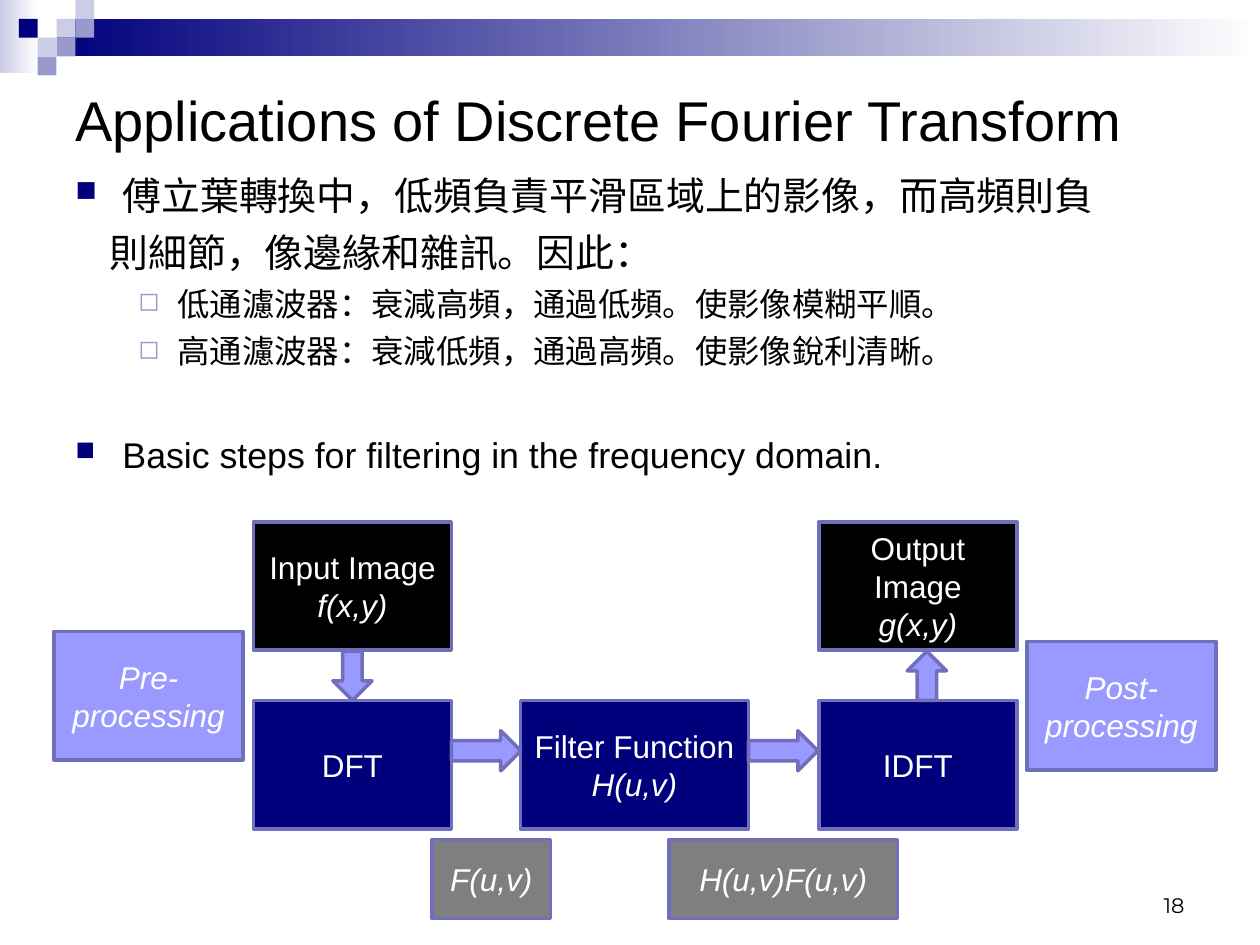
from lxml.etree import SubElement
from pptx import Presentation
from pptx.dml.color import RGBColor
from pptx.enum.shapes import MSO_SHAPE
from pptx.enum.text import MSO_ANCHOR, PP_ALIGN
from pptx.oxml.ns import qn
from pptx.util import Cm, Pt

COLORS = {
    "navy": "00007D", "pale": "CCCCE6", "lilac": "9999CC", "violet": "9999FF",
    "outline": "6F6FBC", "gray": "7F7F7F", "black": "000000", "white": "FFFFFF",
}


def add_block(kind, left, top, width, height, fill, outline=None):
    block = slide.shapes.add_shape(kind, Cm(left), Cm(top), Cm(width), Cm(height))
    block.shadow.inherit = False
    block.fill.solid()
    block.fill.fore_color.rgb = RGBColor.from_string(COLORS[fill])
    if outline:
        block.line.color.rgb = RGBColor.from_string(COLORS[outline])
        block.line.width = Pt(2)
    else:
        block.line.fill.background()
    return block


def style(span, size, color="black", italic=False, name="Arial"):
    span.font.name = name
    span.font.size = Pt(size)
    span.font.italic = italic
    span.font.color.rgb = RGBColor.from_string(COLORS[color])


deck = Presentation()
deck.slide_width, deck.slide_height = Cm(25.4), Cm(19.05)
slide = deck.slides.add_slide(deck.slide_layouts[6])

for left, top, width, height, start in [
    (0, 0, 0.79, 1.47, "pale"),
    (1.14, 0.38, 24.26, 0.76, "navy"),
]:
    band = add_block(MSO_SHAPE.RECTANGLE, left, top, width, height, start)
    band.fill.gradient()
    band.fill.gradient_angle = 0
    for stop, color in zip(band.fill.gradient_stops, [start, "white"]):
        stop.color.rgb = RGBColor.from_string(COLORS[color])

tile = 0.38
for column, row, color in [
    (3, 1, "pale"), (4, 0, "pale"), (4, 1, "lilac"), (2, 2, "pale"),
    (1, 1, "navy"), (3, 2, "lilac"), (2, 3, "lilac"),
]:
    add_block(MSO_SHAPE.RECTANGLE, column * tile, row * tile, tile, tile, color)

body = slide.shapes.add_textbox(Cm(1.27), Cm(3.33), Cm(22.86), Cm(6.6))
body.text_frame.word_wrap = True
square, hollow = ("■", "navy", 75), ("◻", "lilac", 80)
for index, (text, size, before, margin, indent, bullet) in enumerate([
    ("傅立葉轉換中，低頻負責平滑區域上的影像，而高頻則負", 22.2, 0, 0.95, -0.95, square),
    ("則細節，像邊緣和雜訊。因此：", 22.2, 6, 0.69, 0, None),
    ("低通濾波器：衰減高頻，通過低頻。使影像模糊平順。", 18.5, 5, 2.06, -0.79, hollow),
    ("高通濾波器：衰減低頻，通過高頻。使影像銳利清晰。", 18.5, 5, 2.06, -0.79, hollow),
    ("Basic steps for filtering in the frequency domain.", 20.4, 35.5, 0.95, -0.95, square),
]):
    para = body.text_frame.paragraphs[0] if index == 0 else body.text_frame.add_paragraph()
    para.text = text
    para.space_before = Pt(before)
    properties = para._p.get_or_add_pPr()
    properties.set("marL", str(Cm(margin)))
    properties.set("indent", str(Cm(indent)))
    if bullet:
        mark, color, percent = bullet
        SubElement(SubElement(properties, qn("a:buClr")), qn("a:srgbClr")).set("val", COLORS[color])
        SubElement(properties, qn("a:buSzPct")).set("val", str(percent * 1000))
        SubElement(properties, qn("a:buChar")).set("char", mark)
    style(para.runs[0], size)

number = slide.shapes.add_textbox(Cm(18.21), Cm(17.35), Cm(5.92), Cm(1.27))
number.text_frame.word_wrap = True
number.text_frame.vertical_anchor = MSO_ANCHOR.BOTTOM
number.text_frame.text = "18"
number.text_frame.paragraphs[0].alignment = PP_ALIGN.RIGHT
style(number.text_frame.paragraphs[0].runs[0], 12, name="Montserrat")

input_left, filter_left, output_left = 5.11, 10.49, 16.51
image_top, step_top, label_top = 10.52, 14.12, 16.92
narrow, wide, tall = 3.99, 4.6, 2.59
for left, top, width, height, fill, plain, formula in [
    (input_left, step_top, narrow, tall, "navy", "DFT", ""),
    (filter_left, step_top, wide, tall, "navy", "Filter Function ", "H(u,v)"),
    (output_left, step_top, narrow, tall, "navy", "IDFT", ""),
    (input_left, image_top, narrow, tall, "black", "Input Image ", "f(x,y)"),
    (output_left, image_top, narrow, tall, "black", "Output Image ", "g(x,y)"),
    (8.71, label_top, 2.39, 1.6, "gray", "", "F(u,v)"),
    (13.49, label_top, wide, 1.6, "gray", "", "H(u,v)F(u,v)"),
    (1.09, 12.73, 3.81, tall, "violet", "", "Pre-processing"),
    (20.7, 12.93, 3.81, tall, "violet", "", "Post-processing"),
]:
    box = add_block(MSO_SHAPE.RECTANGLE, left, top, width, height, fill, "outline")
    box.text_frame.word_wrap = True
    box.text_frame.vertical_anchor = MSO_ANCHOR.MIDDLE
    para = box.text_frame.paragraphs[0]
    para.alignment = PP_ALIGN.CENTER
    for text, italic in [(plain, False), (formula, True)]:
        if text:
            span = para.add_run()
            span.text = text
            style(span, 18, "white", italic)

for kind, left, top, width, height in [
    (MSO_SHAPE.RIGHT_ARROW, input_left + narrow, 14.73, 1.4, 0.81),
    (MSO_SHAPE.RIGHT_ARROW, filter_left + wide, 14.73, 1.4, 0.81),
    (MSO_SHAPE.DOWN_ARROW, 6.71, 13.13, 0.79, 0.99),
    (MSO_SHAPE.UP_ARROW, 18.29, 13.13, 0.79, 0.99),
]:
    add_block(kind, left, top, width, height, "violet", "outline")

title = slide.shapes.add_textbox(Cm(1.27), Cm(1.27), Cm(22.86), Cm(2.26))
title.text_frame.word_wrap = True
title.text_frame.vertical_anchor = MSO_ANCHOR.MIDDLE
title.text_frame.text = "Applications of Discrete Fourier Transform"
style(title.text_frame.paragraphs[0].runs[0], 32)

deck.save("out.pptx")
